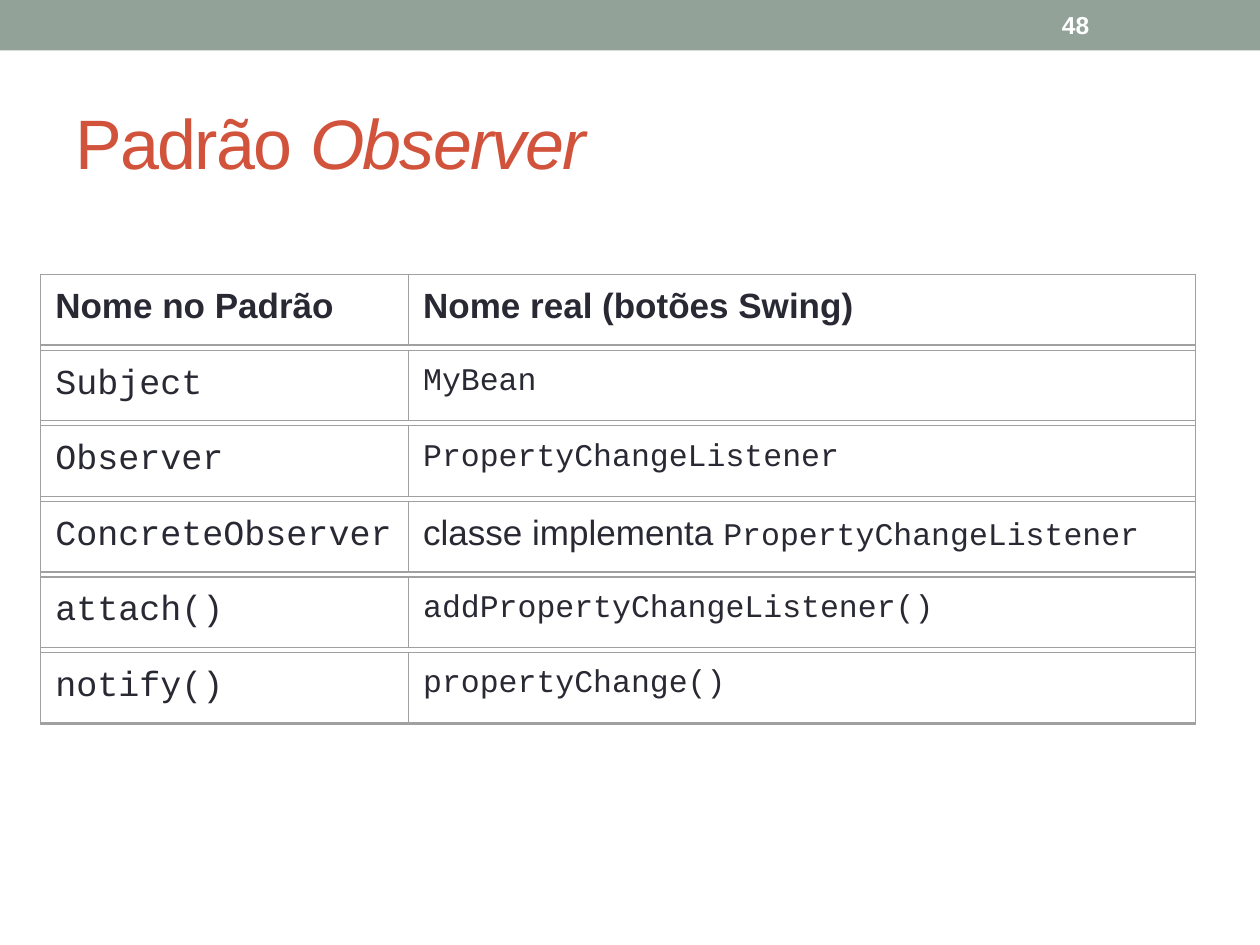
from dataclasses import dataclass

from pptx import Presentation
from pptx import util as u
from pptx.dml.color import RGBColor
from pptx.enum import shapes, text

COLORS = {"band": "93A299", "title": "D2533C", "ink": "292934",
          "rule": "A0A0A0", "page": "FFFFFF"}
SANS, MONO = "Arial", "Courier New"


@dataclass(frozen=True)
class Span:
    """A stretch of text in one format."""
    words: str
    size: int = 20
    font: str = MONO
    color: str = "ink"
    bold: bool = False
    italic: bool = False
    spacing: int = 0


@dataclass(frozen=True)
class Column:
    """Horizontal place of a table column, in inches."""
    left: float
    width: float


COLUMNS = (Column(0.32, 2.92), Column(3.24, 6.25))
TOP, PITCH, ROW_HEIGHT, INSET = 2.18, 0.6, 0.56, 0.02
ROWS = (
    ((Span("Nome no Padrão", font=SANS, bold=True),),
     (Span("Nome real (botões Swing)", font=SANS, bold=True),)),
    ((Span("Subject"),), (Span("MyBean", 18),)),
    ((Span("Observer"),), (Span("PropertyChangeListener", 18),)),
    ((Span("ConcreteObserver"),),
     (Span("classe implementa ", font=SANS), Span("PropertyChangeListener", 18))),
    ((Span("attach()"),), (Span("addPropertyChangeListener()", 18),)),
    ((Span("notify()"),), (Span("propertyChange()", 18),)),
)


def rgb(name: str) -> RGBColor:
    """Look up a named colour."""
    return RGBColor.from_string(COLORS[name])


def write(frame, spans: tuple[Span, ...], anchor=text.MSO_ANCHOR.TOP) -> None:
    """Fill a text frame with one left-aligned paragraph of spans."""
    frame.word_wrap = True
    frame.auto_size = text.MSO_AUTO_SIZE.NONE
    frame.vertical_anchor = anchor
    para = frame.paragraphs[0]
    para.alignment = text.PP_ALIGN.LEFT
    for span in spans:
        run = para.add_run()
        run.text = span.words
        run.font.size = u.Pt(span.size)
        run.font.name = span.font
        run.font.bold = span.bold
        run.font.italic = span.italic
        run.font.color.rgb = rgb(span.color)
        if span.spacing:
            run.font._element.set("spc", str(span.spacing * 100))


def add_text(parent, left: float, top: float, width: float, height: float,
             spans: tuple[Span, ...], anchor=text.MSO_ANCHOR.TOP) -> None:
    """Add a text box, measured in inches."""
    box = parent.add_textbox(*map(u.Inches, (left, top, width, height)))
    write(box.text_frame, spans, anchor)


def add_box(parent, left: float, top: float, width: float, height: float,
            fill: str | None = None, line: float | None = None) -> None:
    """Add a rectangle with an optional fill and an optional line in points."""
    box = parent.add_shape(shapes.MSO_SHAPE.RECTANGLE,
                           *map(u.Inches, (left, top, width, height)))
    box.shadow.inherit = False
    if fill:
        box.fill.solid()
        box.fill.fore_color.rgb = rgb(fill)
    else:
        box.fill.background()
    if line is None:
        box.line.fill.background()
    else:
        box.line.color.rgb = rgb("rule")
        box.line.width = u.Pt(line)


def add_grid(page) -> None:
    """Draw the framed rows, set apart by small gaps, as one group."""
    grid = page.shapes.add_group_shape().shapes
    for index, row in enumerate(ROWS):
        top = TOP + index * PITCH
        for column, spans in zip(COLUMNS, row):
            add_text(grid, column.left + INSET, top + INSET,
                     column.width - 2 * INSET, ROW_HEIGHT - 2 * INSET, spans)
            add_box(grid, column.left, top, column.width, ROW_HEIGHT, line=0)
    add_box(grid, COLUMNS[0].left, TOP, sum(c.width for c in COLUMNS), 3.57, line=0.75)


def add_title(page) -> None:
    """Place and format the title."""
    title = page.shapes.title
    title.left, title.top = u.Inches(0.5), u.Inches(0.58)
    title.width, title.height = u.Inches(9), u.Inches(1.08)
    write(title.text_frame,
          (Span("Padrão ", 40, SANS, "title", spacing=-1),
           Span("Observer", 40, SANS, "title", italic=True, spacing=-1)),
          text.MSO_ANCHOR.MIDDLE)


def main() -> None:
    """Build and save the deck."""
    deck = Presentation()
    deck.slide_width, deck.slide_height = u.Inches(10), u.Inches(7.5)
    page = deck.slides.add_slide(deck.slide_layouts[5])
    page.background.fill.solid()
    page.background.fill.fore_color.rgb = rgb("page")
    add_box(page.shapes, 0, 0, 10, 0.4, fill="band")
    add_title(page)
    add_grid(page)
    add_text(page.shapes, 8.33, 0.02, 1.17, 0.36,
             (Span("48", 14, SANS, "page", bold=True),), text.MSO_ANCHOR.MIDDLE)
    deck.save("out.pptx")


main()
